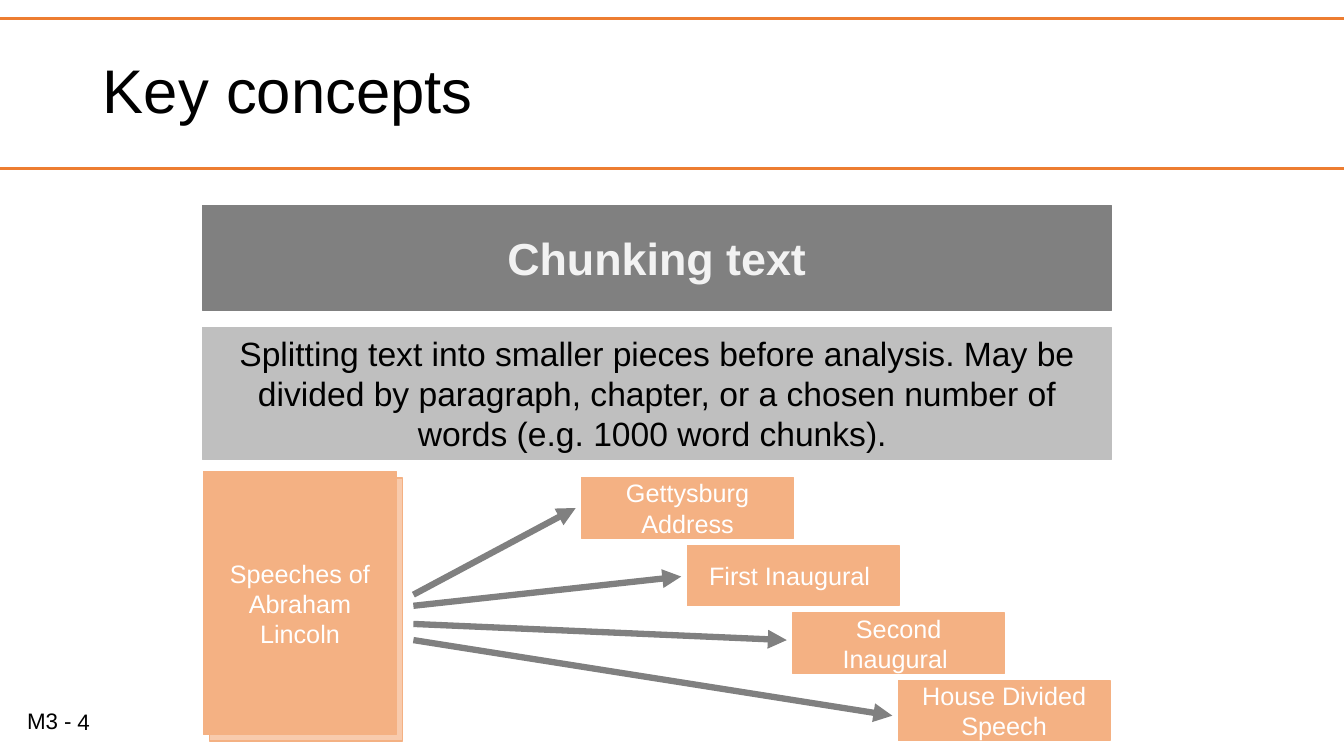
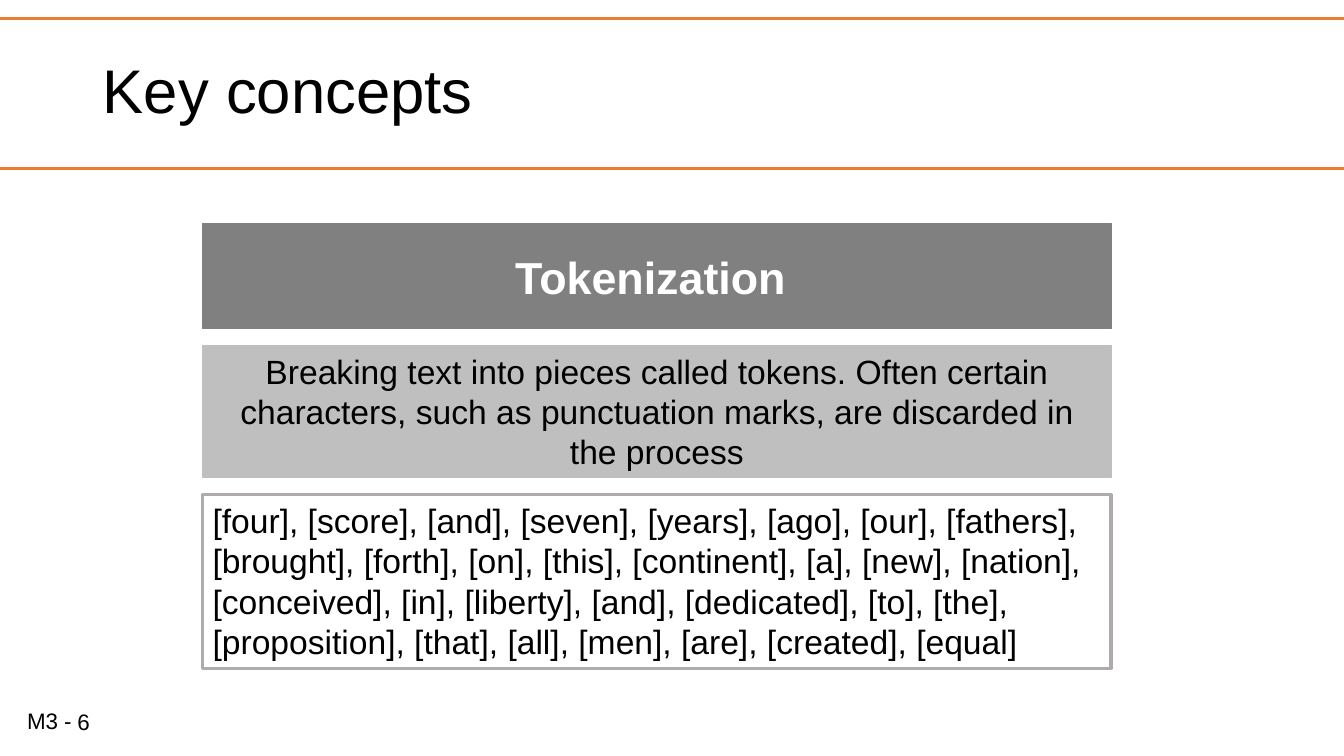
from collections import namedtuple

from lxml.etree import SubElement
from pptx import Presentation
from pptx.dml.color import RGBColor
from pptx.enum.shapes import MSO_CONNECTOR as LINE, MSO_SHAPE as SHAPE
from pptx.enum.text import MSO_ANCHOR as ANCHOR, PP_ALIGN as ALIGN
from pptx.oxml.ns import qn
from pptx.util import Inches, Pt

# Shared colours, font and frame
ORANGE = RGBColor(0xED, 0x7D, 0x31)
PEACH = RGBColor(0xF4, 0xB1, 0x83)
PALE_PEACH = RGBColor(0xF8, 0xCB, 0xAD)
GREY = RGBColor(0x80, 0x80, 0x80)
MID_GREY = RGBColor(0xAF, 0xAB, 0xAB)
LIGHT_GREY = RGBColor(0xBF, 0xBF, 0xBF)
OFF_WHITE = RGBColor(0xF2, 0xF2, 0xF2)
WHITE = RGBColor(0xFF, 0xFF, 0xFF)
BLACK = RGBColor(0, 0, 0)
FONT = "Arial"

Box = namedtuple("Box", "left top width height")
SLIDE = Box(0, 0, 13.33, 7.5)
TITLE = Box(0.92, 0.2, 11.5, 1.45)
RULES = (0.18, 1.67)
PREFIX = Box(0.17, 6.97, 1.5, 0.37)
NUMBER = Box(0.67, 6.96, 3, 0.4)

# Concept column: heading, definition and example, one gap apart
COLUMN_LEFT, COLUMN_WIDTH = 2.01, 9.01
HEADING_H, DEFINITION_H, GAP = 1.04, 1.31, 0.17

# Text formats
TITLE_TEXT = dict(size=Pt(44))
HEADING_TEXT = dict(size=Pt(32), bold=True)
BODY_TEXT = dict(size=Pt(24))
CHUNK_TEXT = dict(size=Pt(18))
FOOTER_TEXT = dict(size=Pt(16))


def inches(box):
    return [Inches(v) for v in box]


def write(sp, text, style, color=BLACK, align=ALIGN.LEFT, anchor=ANCHOR.MIDDLE):
    tf = sp.text_frame
    tf.word_wrap = True
    tf.vertical_anchor = anchor
    p = tf.paragraphs[0]
    p.alignment = align
    r = p.add_run()
    r.text = text
    for name, value in {"name": FONT, **style}.items():
        setattr(r.font, name, value)
    r.font.color.rgb = color
    return p


def add_rect(s, box, fill, line, width):
    sp = s.shapes.add_shape(SHAPE.RECTANGLE, *inches(box))
    sp.shadow.inherit = False
    if fill is None:
        sp.fill.background()
    else:
        sp.fill.solid()
        sp.fill.fore_color.rgb = fill
    sp.line.color.rgb = line
    sp.line.width = Pt(width)
    return sp


def add_line(s, start, end, color, width, arrow=False):
    cn = s.shapes.add_connector(LINE.STRAIGHT, *inches(start + end))
    cn.line.color.rgb = color
    cn.line.width = Pt(width)
    if arrow:
        SubElement(cn.line._get_or_add_ln(), qn("a:tailEnd"), type="triangle")
    SubElement(cn._element.spPr, qn("a:effectLst"))


def add_frame(prs, title, number):
    """Title-only slide with its rules, title and footer."""
    s = prs.slides.add_slide(prs.slide_layouts[5])
    for y in RULES:
        add_line(s, (0, y), (SLIDE.width, y), ORANGE, 2.25)
    sp = s.shapes.title
    sp.left, sp.top, sp.width, sp.height = inches(TITLE)
    write(sp, title, TITLE_TEXT).line_spacing = 0.9
    for box, text, anchor in ((PREFIX, "M3 -", ANCHOR.TOP),
                              (NUMBER, number, ANCHOR.MIDDLE)):
        write(s.shapes.add_textbox(*inches(box)), text, FOOTER_TEXT, anchor=anchor)
    return s


def add_concept(s, top, heading, definition, color):
    """Heading and definition bands; returns the top of the example below."""
    box = Box(COLUMN_LEFT, top, COLUMN_WIDTH, HEADING_H)
    write(add_rect(s, box, GREY, GREY, 0.5), heading, HEADING_TEXT, color, ALIGN.CENTER)
    box = box._replace(top=top + HEADING_H + GAP, height=DEFINITION_H)
    write(add_rect(s, box, LIGHT_GREY, LIGHT_GREY, 0.75), definition, BODY_TEXT,
          align=ALIGN.CENTER, anchor=ANCHOR.TOP)
    return box.top + DEFINITION_H + GAP


def add_tokens(s, box, tokens):
    text = ", ".join(f"[{token}]" for token in tokens.split())
    write(add_rect(s, box, None, MID_GREY, 2.25), text, BODY_TEXT, anchor=ANCHOR.TOP)


def add_chunks(s, box, source, chunks):
    """Stacked source pages on the left, arrows to a staircase of chunks."""
    offset, chunk_w, chunk_h = 0.06, 2.1, 0.6
    right, bottom = box.left + box.width, box.top + box.height
    page = Box(box.left, box.top, 1.91, box.height - offset)
    back = page._replace(left=page.left + offset, top=page.top + offset)
    add_rect(s, back, PALE_PEACH, PEACH, 1)
    write(add_rect(s, page, PEACH, PEACH, 1), source, CHUNK_TEXT, WHITE, ALIGN.CENTER)

    stairs_left, stairs_top = box.left + 3.75, back.top
    steps = len(chunks) - 1
    step_x = (right - chunk_w - stairs_left) / steps
    step_y = (bottom - chunk_h - stairs_top) / steps
    arrow_left = back.left + back.width + 0.11
    for i, (label, start_y, end_y) in enumerate(chunks):
        chunk = Box(stairs_left + i * step_x, stairs_top + i * step_y, chunk_w, chunk_h)
        write(add_rect(s, chunk, PEACH, PEACH, 1), label, CHUNK_TEXT, WHITE, ALIGN.CENTER)
        add_line(s, (arrow_left, box.top + start_y),
                 (chunk.left - offset, box.top + end_y), GREY, 4.5, arrow=True)


def chunking_slide(prs):
    s = add_frame(prs, "Key concepts", "4")
    add_concept(s, 2.04, "Chunking text",
                "Splitting text into smaller pieces before analysis. May be divided by "
                "paragraph, chapter, or a chosen number of words (e.g. 1000 word chunks). ",
                OFF_WHITE)
    # Label, then arrow start and end below the top of the diagram
    add_chunks(s, Box(2.02, 4.68, 8.99, 2.67), "Speeches of Abraham Lincoln",
               [("Gettysburg Address", 1.22, 0.36),
                ("First Inaugural ", 1.33, 1.04),
                ("Second Inaugural ", 1.51, 1.67),
                ("House Divided Speech", 1.67, 2.42)])


def tokenization_slide(prs):
    s = add_frame(prs, "Key concepts", "6")
    top = add_concept(s, 2.22, "Tokenization ",
                      "Breaking text into pieces called tokens. Often certain characters, "
                      "such as punctuation marks, are discarded in the process", WHITE)
    add_tokens(s, Box(COLUMN_LEFT, top, COLUMN_WIDTH, 1.72),
               "four score and seven years ago our fathers brought forth on this "
               "continent a new nation conceived in liberty and dedicated to the "
               "proposition that all men are created equal")


prs = Presentation()
prs.slide_width, prs.slide_height = Inches(SLIDE.width), Inches(SLIDE.height)
chunking_slide(prs)
tokenization_slide(prs)
prs.save("out.pptx")
